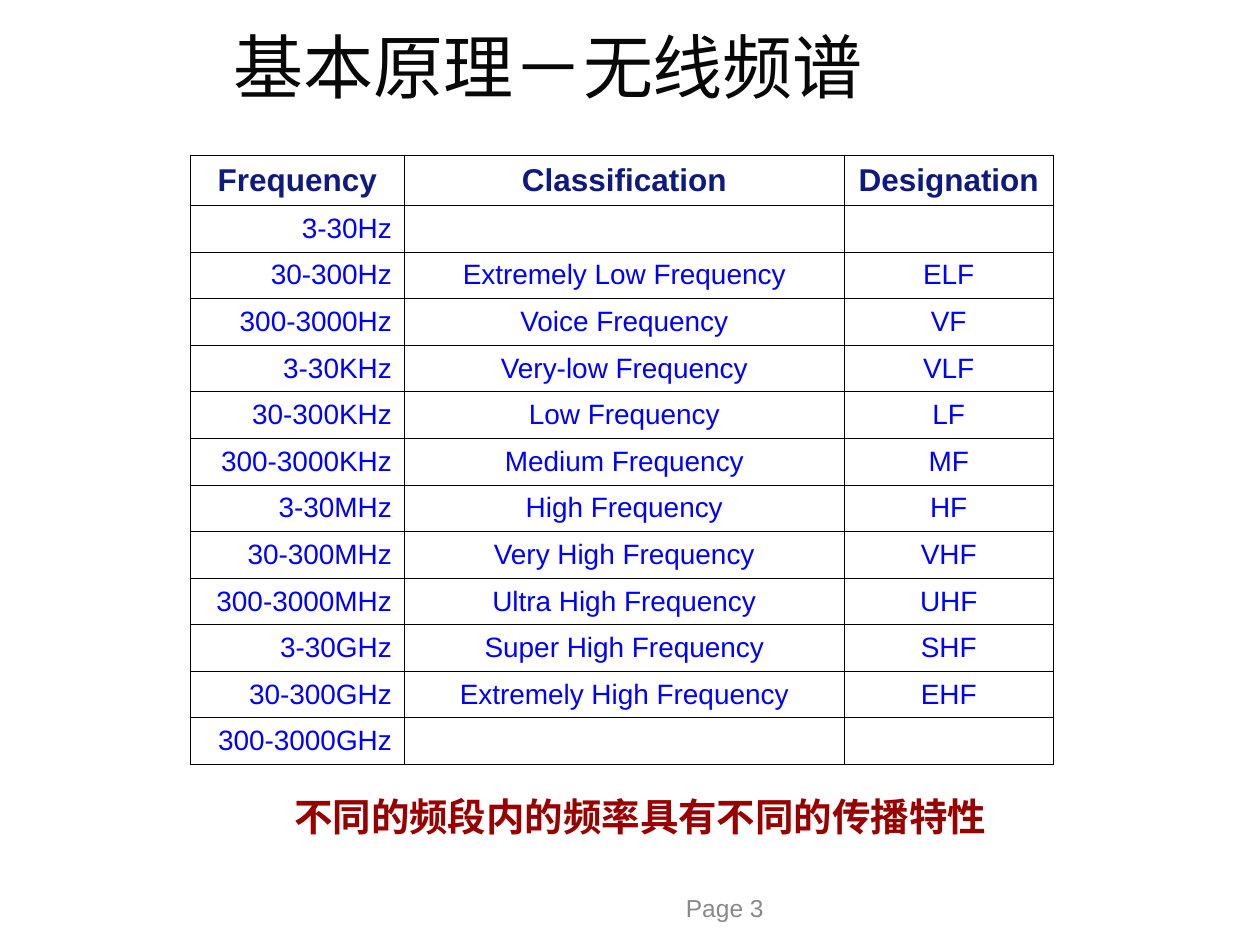
"""Build a slide listing the radio spectrum bands and their designations."""
from lxml.etree import SubElement
from pptx import Presentation
from pptx.dml.color import RGBColor
from pptx.enum.text import MSO_ANCHOR as Anchor, PP_ALIGN as Align
from pptx.oxml.ns import qn
from pptx.util import Inches, Pt

CJK = "Noto Sans CJK SC"
HEADINGS = ("Frequency", "Classification", "Designation")
BANDS = [
    ("3-30Hz", "", ""),
    ("30-300Hz", "Extremely Low Frequency", "ELF"),
    ("300-3000Hz", "Voice Frequency", "VF"),
    ("3-30KHz", "Very-low Frequency", "VLF"),
    ("30-300KHz", "Low Frequency", "LF"),
    ("300-3000KHz", "Medium Frequency", "MF"),
    ("3-30MHz", "High Frequency", "HF"),
    ("30-300MHz", "Very High Frequency", "VHF"),
    ("300-3000MHz", "Ultra High Frequency", "UHF"),
    ("3-30GHz", "Super High Frequency", "SHF"),
    ("30-300GHz", "Extremely High Frequency", "EHF"),
    ("300-3000GHz", "", ""),
]


def write(frame, text, size, color, font="Arial", bold=False, align=Align.CENTER):
    """Put one formatted paragraph into a text frame."""
    paragraph = frame.paragraphs[0]
    paragraph.alignment = align
    if not text:
        SubElement(paragraph._p, qn("a:endParaRPr"), sz=str(size * 100))
        return
    run = paragraph.add_run()
    run.text = text
    run.font.size = Pt(size)
    run.font.bold = bold
    run.font.color.rgb = RGBColor.from_string(color)
    run.font.name = font
    SubElement(run._r.get_or_add_rPr(), qn("a:ea"), typeface=font)


def draw_borders(cell, color, width):
    """Line all four sides of a table cell."""
    properties = cell._tc.get_or_add_tcPr()
    for side in ("lnL", "lnR", "lnT", "lnB"):
        line = SubElement(properties, qn(f"a:{side}"), w=str(Pt(width)))
        fill = SubElement(line, qn("a:solidFill"))
        SubElement(fill, qn("a:srgbClr"), val=color)


prs = Presentation()
prs.slide_width, prs.slide_height = Inches(10), Inches(7.5)
slide = prs.slides.add_slide(prs.slide_layouts[5])

title = slide.shapes.title
title.left, title.top = Inches(0.71), Inches(0.26)
title.width, title.height = Inches(7.28), Inches(0.52)
title.text_frame.vertical_anchor = Anchor.MIDDLE
write(title.text_frame, "基本原理－无线频谱", 40, "080808", font=CJK)

page_number = slide.shapes.add_textbox(Inches(3.83), Inches(7.08), Inches(2.33), Inches(0.25))
conclusion = slide.shapes.add_textbox(Inches(1.3), Inches(6.24), Inches(7.56), Inches(0.47))
for box in (page_number, conclusion):
    box.text_frame.word_wrap = True
    box.text_frame.vertical_anchor = Anchor.MIDDLE
write(page_number.text_frame, "Page 3", 14, "898989", align=Align.RIGHT)
write(conclusion.text_frame, "不同的频段内的频率具有不同的传播特性", 22, "990000", font=CJK, bold=True)

rows = [HEADINGS, *BANDS]
spectrum = slide.shapes.add_table(
    len(rows), len(HEADINGS), Inches(1.51), Inches(1.23), Inches(6.85), Inches(4.84)
).table
spectrum.first_row = spectrum.horz_banding = False
for column, width in zip(spectrum.columns, (1.7, 3.49, 1.66)):
    column.width = Inches(width)
for r, values in enumerate(rows):
    spectrum.rows[r].height = Inches(0.37 if r else 0.4)
    for c, value in enumerate(values):
        cell = spectrum.cell(r, c)
        draw_borders(cell, "000000", 0.45)
        cell.fill.background()
        cell.vertical_anchor = Anchor.MIDDLE
        if r == 0:
            write(cell.text_frame, value, 18, "0F1A81", bold=True)
        else:
            write(cell.text_frame, value, 16, "0000FF", align=Align.CENTER if c else Align.RIGHT)

prs.save("out.pptx")
